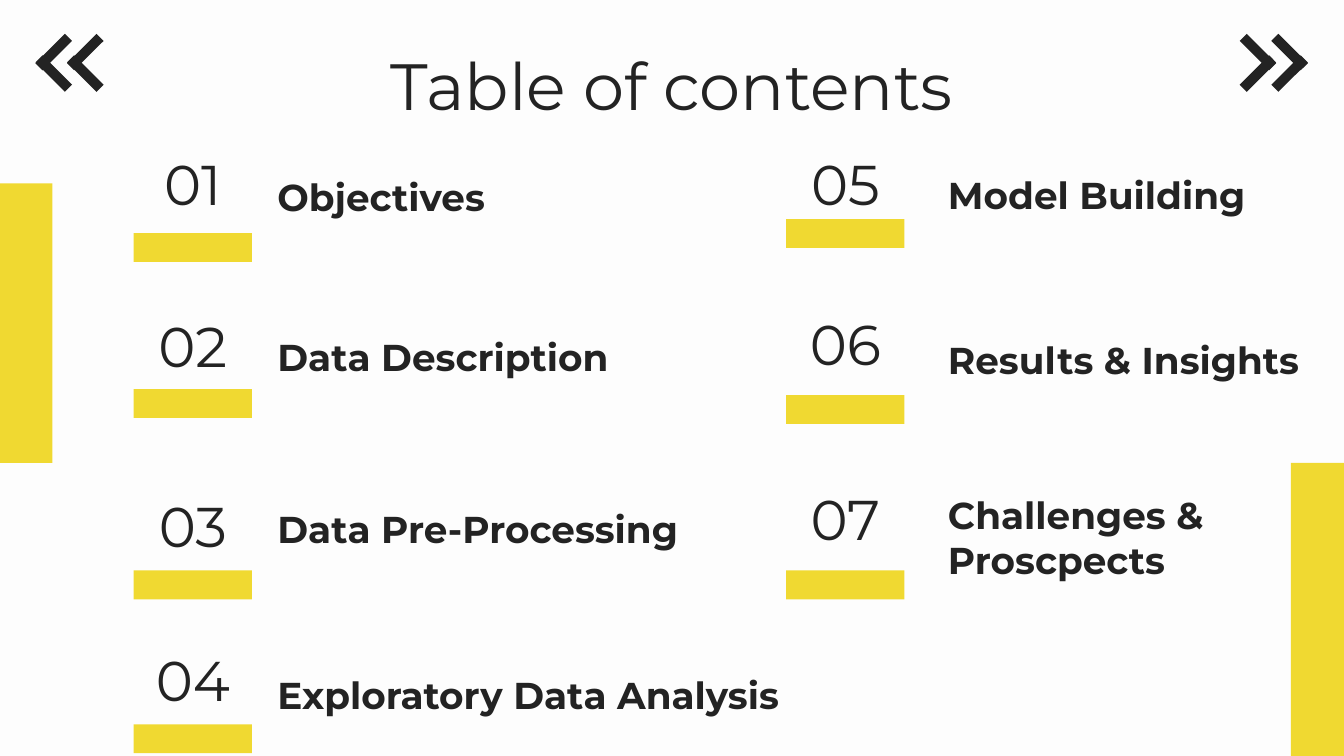
import pptx
import pptx.dml.color
import pptx.enum.shapes
import pptx.enum.text
import pptx.util

PX = 4572  # EMU in one px, at 200 px to the inch
YELLOW, INK, PAPER = "F0D931", "232323", "FDFDFD"
ANCHOR = pptx.enum.text.MSO_ANCHOR
ALIGN = pptx.enum.text.PP_ALIGN

TITLE = {"size": pptx.util.Pt(35), "bold": False}
NUMBER = {"size": pptx.util.Pt(30), "bold": False}
LABEL = {"size": pptx.util.Pt(20), "bold": True}

# number, label, label width, then the tops of number, label and bar in the column
LEFT_ENTRIES = [
    ("01", "Objectives", 542, 0, 56, 145),
    ("02", "Data Description", 542, 241, 294, 377),
    ("03", "Data Pre-Processing", 656, 510, 550, 647),
    ("04", "Exploratory Data Analysis", 808, 739, 797, 876),
]
RIGHT_ENTRIES = [
    ("05", "Model Building", 542, 0, 53, 124),
    ("06", "Results & Insights", 628, 239, 298, 386),
    ("07", "Challenges & Proscpects", 628, 499, 596, 647),
]


def color(hex_value):
    return pptx.dml.color.RGBColor.from_string(hex_value)


def emu(*lengths):
    return [pptx.util.Emu(length * PX) for length in lengths]


def add_bar(slide, box, fill, rotation=0):
    bar = slide.shapes.add_shape(pptx.enum.shapes.MSO_SHAPE.RECTANGLE, *emu(*box))
    bar.shadow.inherit = False
    bar.fill.solid()
    bar.fill.fore_color.rgb = color(fill)
    bar.line.fill.background()
    bar.rotation = rotation


def add_text(slide, box, text, style, anchor, align):
    frame = slide.shapes.add_textbox(*emu(*box)).text_frame
    margin, = emu(20)
    layout = {"word_wrap": True, "vertical_anchor": anchor,
              "margin_left": margin, "margin_right": margin,
              "margin_top": margin, "margin_bottom": margin}
    for name, value in layout.items():
        setattr(frame, name, value)
    paragraph = frame.paragraphs[0]
    paragraph.alignment = align
    run = paragraph.add_run()
    run.text = text
    for name, value in {"name": "Montserrat", **style}.items():
        setattr(run.font, name, value)
    run.font.color.rgb = color(INK)


def add_chevrons(slide, left, top, upper_rotation):
    """Two chevrons of two strokes each; 45 points right, 315 left."""
    for offset in (0, 47):
        for stroke_top, rotation in ((0, upper_rotation), (32, 360 - upper_rotation)):
            add_bar(slide, (left + offset, top + stroke_top, 62, 15), INK, rotation)


def add_column(slide, left, top, label_offset, entries):
    for number, label, label_width, number_top, label_top, bar_top in entries:
        add_text(slide, (left, top + number_top, 176, 140), number,
                 NUMBER, ANCHOR.MIDDLE, ALIGN.CENTER)
        add_text(slide, (left + label_offset, top + label_top, label_width, 88), label,
                 LABEL, ANCHOR.BOTTOM, ALIGN.LEFT)
        add_bar(slide, (left, top + bar_top, 176, 43), YELLOW)


def add_contents_slide(deck):
    slide = deck.slides.add_slide(deck.slide_layouts[6])
    slide.background.fill.solid()
    slide.background.fill.fore_color.rgb = color(PAPER)
    add_bar(slide, (1921, 689, 158, 436), YELLOW)
    add_bar(slide, (-79, 273, 157, 416), YELLOW)
    add_chevrons(slide, 1841, 70, 45)
    add_chevrons(slide, 49, 70, 315)
    add_text(slide, (157, 47, 1686, 126), "Table of contents",
             TITLE, ANCHOR.TOP, ALIGN.CENTER)
    add_column(slide, 199, 202, 194, LEFT_ENTRIES)
    add_column(slide, 1170, 202, 221, RIGHT_ENTRIES)


def main():
    deck = pptx.Presentation()
    deck.slide_width, deck.slide_height = emu(2000, 1125)
    add_contents_slide(deck)
    deck.save("out.pptx")


if __name__ == "__main__":
    main()
